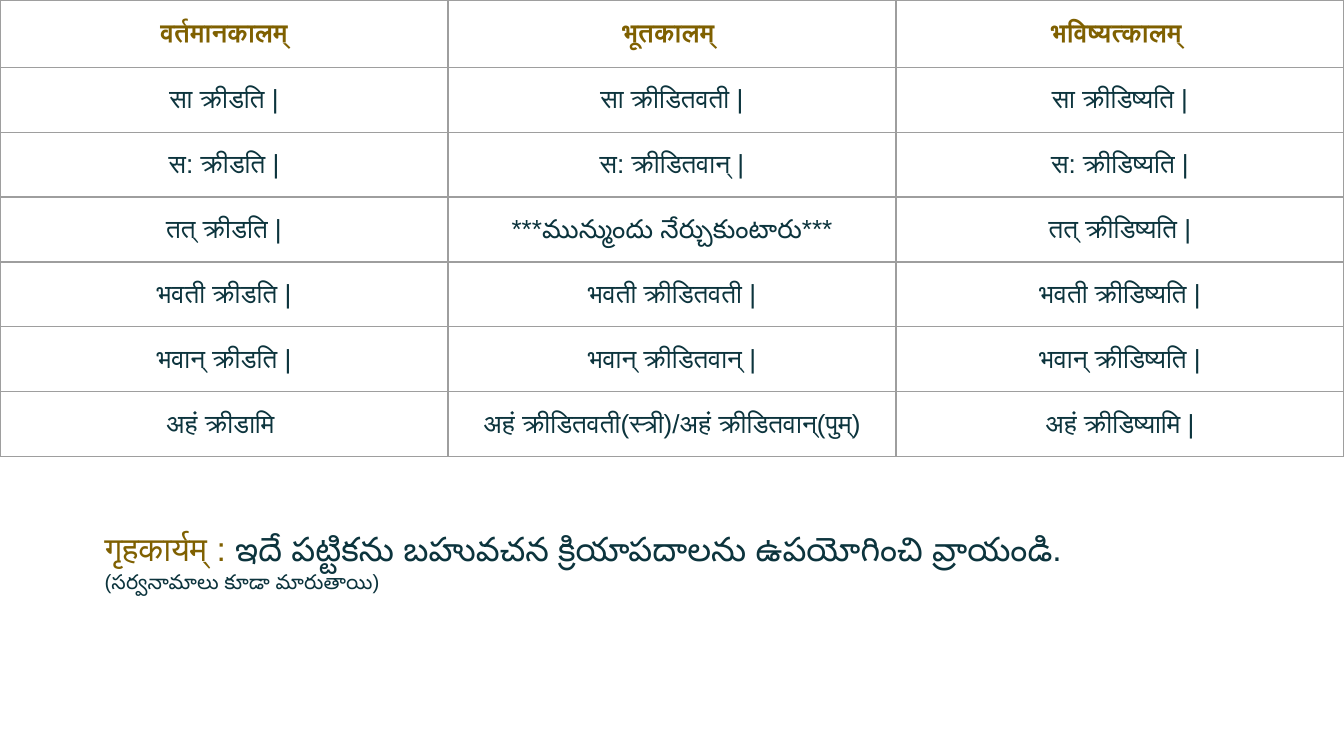
from lxml import etree
from pptx import Presentation
from pptx import util as u
from pptx.dml import color
from pptx.enum import text
from pptx.oxml import ns

THEME = {
    "font": "Arial",
    "accent": "7F6000",
    "ink": "0C343D",
    "border": "9E9E9E",
    "border_width": 0.75,
    "table_size": 14,
    "homework_size": 18,
    "note_size": 11,
}
MARGINS = {
    f"margin_{side}": u.Inches(0.1) for side in ("left", "top", "right", "bottom")
}


def set_format(target, values):
    for name, value in values.items():
        setattr(target, name, value)


def add_run(paragraph, words, size, colour, bold=False):
    run = paragraph.add_run()
    run.text = words
    set_format(run.font, {"name": THEME["font"], "size": u.Pt(size), "bold": bold})
    run.font.color.rgb = color.RGBColor.from_string(colour)
    properties = run.font._element
    for tag in ("a:ea", "a:cs"):
        etree.SubElement(properties, ns.qn(tag), typeface=THEME["font"])


presentation = Presentation()
slide_width = u.Inches(10)
set_format(
    presentation, {"slide_width": slide_width, "slide_height": slide_width * 9 // 16}
)
slide = presentation.slides.add_slide(presentation.slide_layouts[6])

tenses = [
    ("वर्तमानकालम्", "भूतकालम् ", "भविष्यत्कालम् "),
    ("सा क्रीडति |", "सा क्रीडितवती |", "सा क्रीडिष्यति |"),
    ("स: क्रीडति |", "स: क्रीडितवान् |", "स: क्रीडिष्यति |"),
    ("तत् क्रीडति |", "***మున్ముందు నేర్చుకుంటారు***", "तत् क्रीडिष्यति |"),
    ("भवती क्रीडति |", "भवती क्रीडितवती |", "भवती क्रीडिष्यति |"),
    ("भवान् क्रीडति |", "भवान् क्रीडितवान् |", "भवान् क्रीडिष्यति |"),
    ("अहं क्रीडामि ", "अहं क्रीडितवती(स्त्री)/अहं क्रीडितवान्(पुम्)", "अहं क्रीडिष्यामि |"),
]
table_height, header_height = 3.4, 0.5
row_height = (table_height - header_height) / (len(tenses) - 1)
table = slide.shapes.add_table(
    len(tenses), len(tenses[0]), 0, 0, slide_width, u.Inches(table_height)
).table
set_format(table, {"first_row": False, "horz_banding": False})

for row_index, forms in enumerate(tenses):
    is_header = row_index == 0
    table.rows[row_index].height = u.Inches(header_height if is_header else row_height)
    for column_index, form in enumerate(forms):
        cell = table.cell(row_index, column_index)
        set_format(cell, {**MARGINS, "vertical_anchor": text.MSO_ANCHOR.MIDDLE})
        properties = cell._tc.get_or_add_tcPr()
        for side in ("a:lnL", "a:lnR", "a:lnT", "a:lnB"):
            line = etree.SubElement(
                properties, ns.qn(side), w=str(u.Pt(THEME["border_width"]))
            )
            fill = etree.SubElement(line, ns.qn("a:solidFill"))
            etree.SubElement(fill, ns.qn("a:srgbClr"), val=THEME["border"])
        cell.fill.background()
        paragraph = cell.text_frame.paragraphs[0]
        paragraph.alignment = text.PP_ALIGN.CENTER
        colour = THEME["accent"] if is_header else THEME["ink"]
        add_run(paragraph, form, THEME["table_size"], colour, is_header)

homework = slide.shapes.add_textbox(
    u.Inches(0.68), u.Inches(3.83), u.Inches(9.21), u.Inches(0.69)
)
frame = homework.text_frame
set_format(
    frame,
    {**MARGINS, "word_wrap": True, "auto_size": text.MSO_AUTO_SIZE.SHAPE_TO_FIT_TEXT},
)
task = frame.paragraphs[0]
add_run(task, "गृहकार्यम् : ", THEME["homework_size"], THEME["accent"])
add_run(
    task,
    "ఇదే పట్టికను బహువచన క్రియాపదాలను ఉపయోగించి వ్రాయండి.",
    THEME["homework_size"],
    THEME["ink"],
)
add_run(
    frame.add_paragraph(),
    "(సర్వనామాలు కూడా మారుతాయి)",
    THEME["note_size"],
    THEME["ink"],
)

presentation.save("out.pptx")
